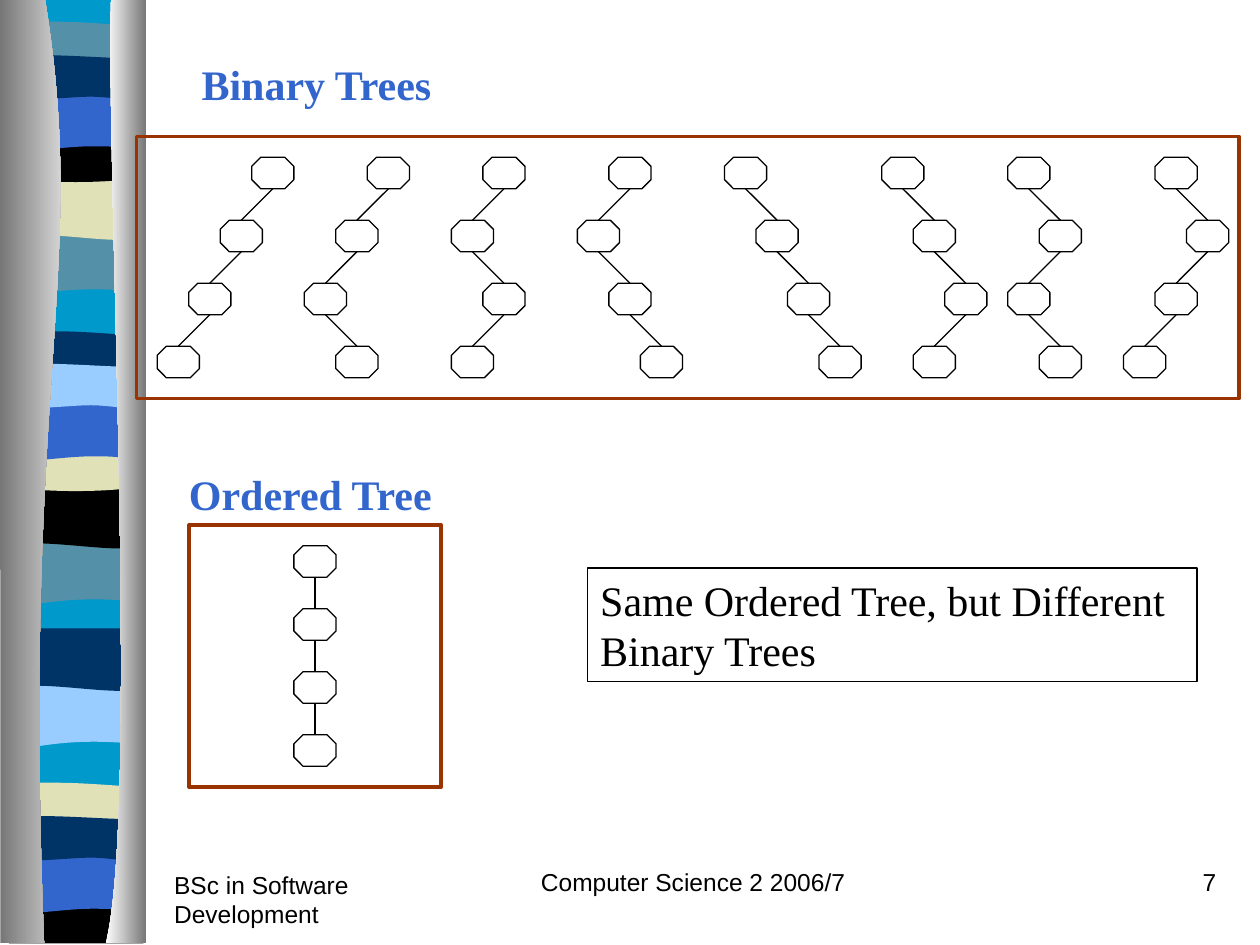
from dataclasses import dataclass

import lxml.etree
import pptx
import pptx.dml.color
import pptx.enum.shapes
import pptx.enum.text
import pptx.oxml.ns
import pptx.util

Cm = pptx.util.Cm
qn = pptx.oxml.ns.qn
ALIGN = pptx.enum.text.PP_ALIGN
SHAPES = pptx.enum.shapes.MSO_SHAPE

BLACK, BLUE, BROWN, GREY, WHITE = "000000", "3366CC", "993300", "767676", "FFFFFF"
TEAL, SAND, NAVY, SKY, CYAN = "5490A8", "E1E1B7", "003366", "99CCFF", "0099CC"
SERIF, SANS = "Times New Roman", "Arial"

ROW_PITCH = 1.27
NODE_WIDTH, NODE_HEIGHT = 0.85, ROW_PITCH / 2
STEPS = {"L": -ROW_PITCH / 2, "R": ROW_PITCH / 2, "S": 0}
BAND_LEFT, BAND_WIDTH = 0.15, 2.74

BACKING = [(0, 0), (2.74, 0), (2.74, 19), (0, 19)]
WEDGE = [(2.74, 0), (2.74, 1.19), (0.84, 0.99, 0.46, 1.4, 0, 1.19), (0, 0)]
SWELL = [(2.74, 0), (2.74, 1.19), (2.29, 1.4, 0.84, 1.04, 0, 1.19), (0, 0)]
RIBBON = [(2.74, 0.13), (2.74, 0.74), (2.29, 0.84, 0.46, 0.84, 0, 0.74), (0, 0.13),
          (0.15, 0, 0.58, 0.03, 1.04, 0.03), (1.5, 0.03, 2.39, 0.1, 2.74, 0.13)]
SAG = [(2.74, 0), (2.74, 0.81), (2.29, 0.97, 0.46, 0.97, 0, 0.81), (0, 0),
       (1.68, 0.13, 2.16, 0, 2.74, 0)]
ARCH = [(2.74, 0), (2.74, 1.19), (2.31, 1.07, 2.13, 1.07, 1.68, 1.07),
        (1.22, 1.07, 0.41, 1.19, 0, 1.19), (0, 0)]
CREST = [(2.74, 0.13), (2.74, 0.91), (2.57, 1.04, 2.13, 0.91, 1.68, 0.91),
         (1.22, 0.91, 0.28, 1.04, 0, 0.91), (0, 0.13),
         (0.38, 0, 1.85, 0.13, 2.31, 0.13), (2.77, 0.13, 2.64, 0.13, 2.74, 0.13)]
BASE = [(2.74, 0), (2.74, 0.94), (0.03, 0.94), (0, 0), (1.68, 0.13, 2.16, 0, 2.74, 0)]
LEFT_PILLAR = [(0.91, 0), (1.8, 5.49, 0.43, 7.52, 0.89, 19.02), (0.01, 19.02), (0, 0)]
RIGHT_PILLAR = [(2.24, 0), (2.13, 3.18, 2.82, 16.41, 2.13, 19.02), (2.95, 19.02), (2.95, 0)]


@dataclass
class Band:
    outline: list
    top: float
    color: str


@dataclass
class Tree:
    root_x: float
    root_top: float
    turns: str


@dataclass
class Label:
    text: str
    left: float
    top: float
    width: float
    height: float
    size: int = 24
    font: str = SERIF
    color: str = BLACK
    bold: bool = False
    align: ALIGN = ALIGN.LEFT


BANDS = [
    Band(BACKING, 0, CYAN),
    Band(WEDGE, 4.7, TEAL), Band(SWELL, 3.58, SAND), Band(RIBBON, 0.41, TEAL),
    Band(SAG, 2.74, BLACK), Band(ARCH, 1.88, BLUE), Band(CREST, 1.04, NAVY),
    Band(WEDGE, 10.95, TEAL), Band(SWELL, 9.8, BLACK), Band(RIBBON, 6.65, NAVY),
    Band(SAG, 8.97, SAND), Band(ARCH, 8.13, BLUE), Band(CREST, 7.26, SKY),
    Band(WEDGE, 13.82, SKY), Band(SWELL, 12.67, NAVY), Band(RIBBON, 15.75, SAND),
    Band(BASE, 18.08, BLACK), Band(ARCH, 17.25, BLUE), Band(CREST, 16.38, NAVY),
]
BINARY_ROOTS = {"LLL": 5.5, "LLR": 7.83, "LRL": 10.16, "LRR": 12.7,
                "RRR": 15.03, "RRL": 18.2, "RLR": 20.74, "RLL": 23.71}
BINARY_TREES = [Tree(x, 3.17, turns) for turns, x in BINARY_ROOTS.items()]
ORDERED_TREE = Tree(6.35, 11, "SSS")
FRAMES = [(2.75, 2.75, 22.23, 5.29), (3.81, 10.58, 5.08, 5.29)]

TITLE = Label("Binary Trees", 3.81, 1.05, 6.15, 1.27, color=BLUE, bold=True)
SUBTITLE = Label("Ordered Tree", 3.56, 9.32, 6.17, 1.27, color=BLUE, bold=True)
REMARK = Label("Same Ordered Tree, but Different Binary Trees", 11.85, 11.45, 12.28, 2.29)
FOOTERS = [
    Label("BSc in Software Development", 3.26, 17.41, 5.28, 1.27, 14, SANS),
    Label("Computer Science 2 2006/7", 9.95, 17.35, 8.05, 1.27, 14, SANS, align=ALIGN.CENTER),
    Label("7", 19.49, 17.35, 5.28, 1.27, 14, SANS, align=ALIGN.RIGHT),
]


def rgb(color: str) -> pptx.dml.color.RGBColor:
    return pptx.dml.color.RGBColor.from_string(color)


def add_outline(shapes, outline: list, left: float = 0, top: float = 0):
    points = [(Cm(left + segment[index]), Cm(top + segment[index + 1]))
              for segment in outline for index in range(0, len(segment), 2)]
    builder = shapes.build_freeform(*points[0])
    builder.add_line_segments(points[1:], close=True)
    shape = builder.convert_to_shape()
    lines = iter(list(shape._element.iter(qn("a:lnTo"))))
    for segment in outline[1:]:
        first = next(lines)
        if len(segment) == 6:
            curve = lxml.etree.Element(qn("a:cubicBezTo"))
            first.addprevious(curve)
            for line in (first, next(lines), next(lines)):
                curve.append(line[0])
                line.getparent().remove(line)
    shape.shadow.inherit = False
    shape.line.fill.background()
    return shape


def add_band(shapes, band: Band) -> None:
    shape = add_outline(shapes, band.outline, BAND_LEFT, band.top)
    shape.fill.solid()
    shape.fill.fore_color.rgb = rgb(band.color)


def add_pillar(shapes, outline: list, start: str, end: str) -> None:
    shape = add_outline(shapes, outline)
    shape.fill.gradient()
    shape.fill.gradient_angle = 0
    for stop, color in zip(shape.fill.gradient_stops, (start, end)):
        stop.color.rgb = rgb(color)


def add_hollow(shapes, kind, left: float, top: float, width: float, height: float,
               color: str, weight: float):
    shape = shapes.add_shape(kind, Cm(left), Cm(top), Cm(width), Cm(height))
    shape.shadow.inherit = False
    shape.fill.background()
    shape.line.color.rgb = rgb(color)
    shape.line.width = pptx.util.Pt(weight)
    return shape


def add_edge(shapes, x1: float, y1: float, x2: float, y2: float) -> None:
    edge = shapes.add_connector(pptx.enum.shapes.MSO_CONNECTOR.STRAIGHT,
                                Cm(x1), Cm(y1), Cm(x2), Cm(y2))
    edge.line.color.rgb = rgb(BLACK)
    edge.line.width = pptx.util.Pt(0.75)
    properties = edge._element.find(qn("p:spPr"))
    lxml.etree.SubElement(properties, qn("a:effectLst"))


def add_tree(shapes, tree: Tree) -> None:
    centers = [tree.root_x]
    for turn in tree.turns:
        centers.append(centers[-1] + STEPS[turn])
    for row, center in enumerate(centers):
        top = tree.root_top + row * ROW_PITCH
        node = add_hollow(shapes, SHAPES.OCTAGON, center - NODE_WIDTH / 2, top,
                          NODE_WIDTH, NODE_HEIGHT, BLACK, 0.75)
        node.adjustments[0] = 0.29
        if row:
            add_edge(shapes, centers[row - 1], top - ROW_PITCH + NODE_HEIGHT, center, top)


def write_label(shape, label: Label) -> None:
    shape.left, shape.top = Cm(label.left), Cm(label.top)
    shape.width, shape.height = Cm(label.width), Cm(label.height)
    frame = shape.text_frame
    frame.text = label.text
    frame.word_wrap = True
    frame.auto_size = pptx.enum.text.MSO_AUTO_SIZE.NONE
    frame.vertical_anchor = pptx.enum.text.MSO_ANCHOR.TOP
    paragraph = frame.paragraphs[0]
    paragraph.alignment = label.align
    paragraph.font.name = label.font
    paragraph.font.size = pptx.util.Pt(label.size)
    paragraph.font.bold = label.bold
    paragraph.font.color.rgb = rgb(label.color)


def add_label(shapes, label: Label):
    shape = shapes.add_textbox(0, 0, 0, 0)
    write_label(shape, label)
    return shape


def main() -> None:
    presentation = pptx.Presentation()
    presentation.slide_width, presentation.slide_height = Cm(25.4), Cm(19.05)
    slide = presentation.slides.add_slide(presentation.slide_layouts[5])
    shapes = slide.shapes
    write_label(shapes.title, TITLE)

    ribbon = shapes.add_group_shape().shapes
    for band in BANDS:
        add_band(ribbon, band)
    add_pillar(ribbon, LEFT_PILLAR, GREY, WHITE)
    add_pillar(ribbon, RIGHT_PILLAR, WHITE, GREY)

    for label in FOOTERS + [SUBTITLE]:
        add_label(shapes, label)
    for tree in BINARY_TREES:
        add_tree(shapes, tree)
    add_tree(shapes.add_group_shape().shapes, ORDERED_TREE)
    for frame in FRAMES:
        add_hollow(shapes, SHAPES.RECTANGLE, *frame, BROWN, 2)
    remark = add_label(shapes, REMARK)
    remark.line.color.rgb = rgb(BLACK)
    remark.line.width = pptx.util.Pt(0.75)

    presentation.save("out.pptx")


if __name__ == "__main__":
    main()
